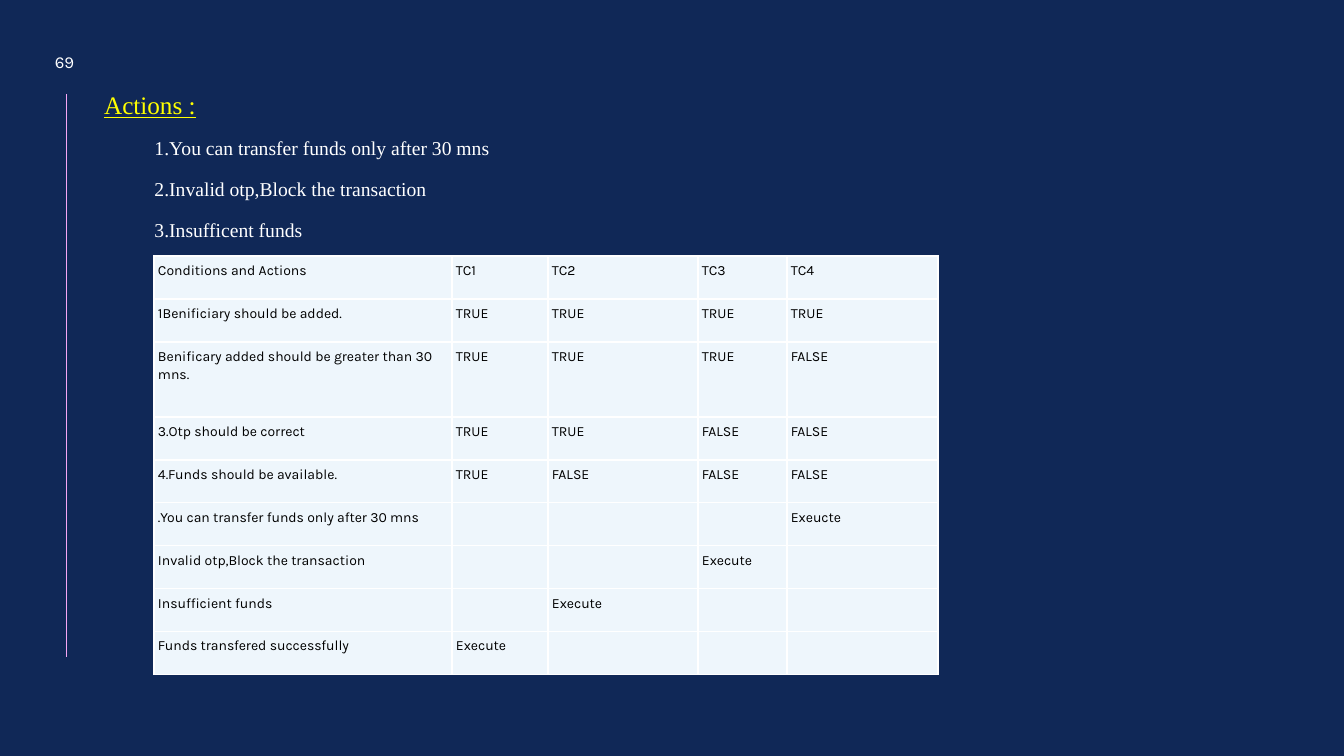
from lxml import etree
from pptx import Presentation
from pptx import util as u
from pptx.dml.color import RGBColor
from pptx.enum import shapes, text
from pptx.oxml.ns import qn

PAGE_NUMBER = "69"
HEADING = "Actions :"
ACTIONS = [
    "1.You can transfer funds only after 30 mns",
    "2.Invalid otp,Block the transaction",
    "3.Insufficent funds",
]
DECISIONS = [
    ("Conditions and Actions", "TC1", "TC2", "TC3", "TC4"),
    ("1Benificiary should be added.", "TRUE", "TRUE", "TRUE", "TRUE"),
    ("Benificary added should be greater than 30 mns.", "TRUE", "TRUE", "TRUE", "FALSE"),
    ("3.Otp should be correct", "TRUE", "TRUE", "FALSE", "FALSE"),
    ("4.Funds should be available.", "TRUE", "FALSE", "FALSE", "FALSE"),
    (".You can transfer funds only after 30 mns", "", "", "", "Exeucte"),
    ("Invalid otp,Block the transaction", "", "", "Execute", ""),
    ("Insufficient funds", "", "Execute", "", ""),
    ("Funds transfered successfully", "Execute", "", "", ""),
]
COLUMN_WIDTHS = [298, 96, 150, 89, 151]
ROW_HEIGHT, TALL_ROW_HEIGHT, TALL_ROW = 43, 75, 2
CELL_INSET = 4

NAVY, WHITE, YELLOW, BLACK = "102857", "FFFFFF", "FFFF00", "000000"
CELL_FILL, RULE = "EEF6FC", "F6A6F4"
SERIF, SANS = "Times New Roman", "Karla"
LOOSE = {"line_spacing": 1.15, "space_before": u.Pt(0), "space_after": u.Pt(10),
         "alignment": text.PP_ALIGN.LEFT}
CENTRED = {"alignment": text.PP_ALIGN.CENTER}


def px(length):
    return u.Emu(round(length * 914400 / 100.8))


def rgb(value):
    return RGBColor.from_string(value)


def assign(target, values):
    for name, value in values.items():
        setattr(target, name, value)


def place(shape, left, top, width, height):
    assign(shape, {"left": px(left), "top": px(top), "width": px(width), "height": px(height)})


def write(paragraph, words, face, size, colour, layout, underline=False):
    run = paragraph.add_run()
    run.text = words
    assign(run.font, {"name": face, "size": u.Pt(size), "bold": False, "underline": underline})
    run.font.color.rgb = rgb(colour)
    assign(paragraph, layout)


def add_borders(cell, colour, points):
    """Put the four border lines ahead of the cell's fill, as the schema asks."""
    properties = cell._tc.get_or_add_tcPr()
    for position, side in enumerate(("lnL", "lnR", "lnT", "lnB")):
        line = etree.Element(qn("a:" + side), w=str(u.Pt(points)))
        fill = etree.SubElement(line, qn("a:solidFill"))
        etree.SubElement(fill, qn("a:srgbClr"), val=colour)
        properties.insert(position, line)


def add_rule(slide):
    rule = slide.shapes.add_connector(
        shapes.MSO_CONNECTOR.STRAIGHT, px(66), px(94), px(66), px(657))
    rule.line.color.rgb = rgb(RULE)
    rule.line.width = u.Pt(0.5)
    etree.SubElement(rule._element.spPr, qn("a:effectLst"))


def add_page_number(slide):
    box = slide.shapes.add_textbox(px(36), px(45), px(57), px(34))
    assign(box.text_frame, {"word_wrap": True, "vertical_anchor": text.MSO_ANCHOR.MIDDLE})
    write(box.text_frame.paragraphs[0], PAGE_NUMBER, SANS, 12, WHITE, CENTRED)


def add_actions(slide):
    title, body = slide.placeholders
    place(title, 94, 80, 672, 47)
    place(body, 94, 127, 672, 121)
    for holder in (title, body):
        assign(holder.text_frame, {"word_wrap": True, "auto_size": text.MSO_AUTO_SIZE.NONE,
                                   "vertical_anchor": text.MSO_ANCHOR.TOP})
    write(title.text_frame.paragraphs[0], HEADING, SERIF, 18, YELLOW, LOOSE, underline=True)
    for index, action in enumerate(ACTIONS):
        frame = body.text_frame
        paragraph = frame.add_paragraph() if index else frame.paragraphs[0]
        write(paragraph, action, SERIF, 14, WHITE, {"level": 1, **LOOSE})
        properties = paragraph._p.get_or_add_pPr()
        properties.set("marL", str(u.Inches(0.5)))
        properties.set("indent", "0")
        etree.SubElement(properties, qn("a:buNone"))


def add_decision_table(slide):
    heights = [TALL_ROW_HEIGHT if index == TALL_ROW else ROW_HEIGHT
               for index in range(len(DECISIONS))]
    table = slide.shapes.add_table(
        len(DECISIONS), len(COLUMN_WIDTHS), px(154), px(256),
        px(sum(COLUMN_WIDTHS)), px(sum(heights))).table
    assign(table, {"first_row": False, "horz_banding": False})
    for column, width in zip(table.columns, COLUMN_WIDTHS):
        column.width = px(width)
    for row, height, entries in zip(table.rows, heights, DECISIONS):
        row.height = px(height)
        for cell, entry in zip(row.cells, entries):
            for side in ("left", "right", "top", "bottom"):
                setattr(cell, "margin_" + side, px(CELL_INSET))
            cell.fill.solid()
            cell.fill.fore_color.rgb = rgb(CELL_FILL)
            add_borders(cell, WHITE, 1)
            if entry:
                write(cell.text_frame.paragraphs[0], entry, SANS, 10, BLACK, LOOSE)


def main():
    deck = Presentation()
    assign(deck, {"slide_width": px(1344), "slide_height": px(756)})
    slide = deck.slides.add_slide(deck.slide_layouts[1])
    slide.background.fill.solid()
    slide.background.fill.fore_color.rgb = rgb(NAVY)
    add_rule(slide)
    add_page_number(slide)
    add_actions(slide)
    add_decision_table(slide)
    deck.save("out.pptx")


if __name__ == "__main__":
    main()
